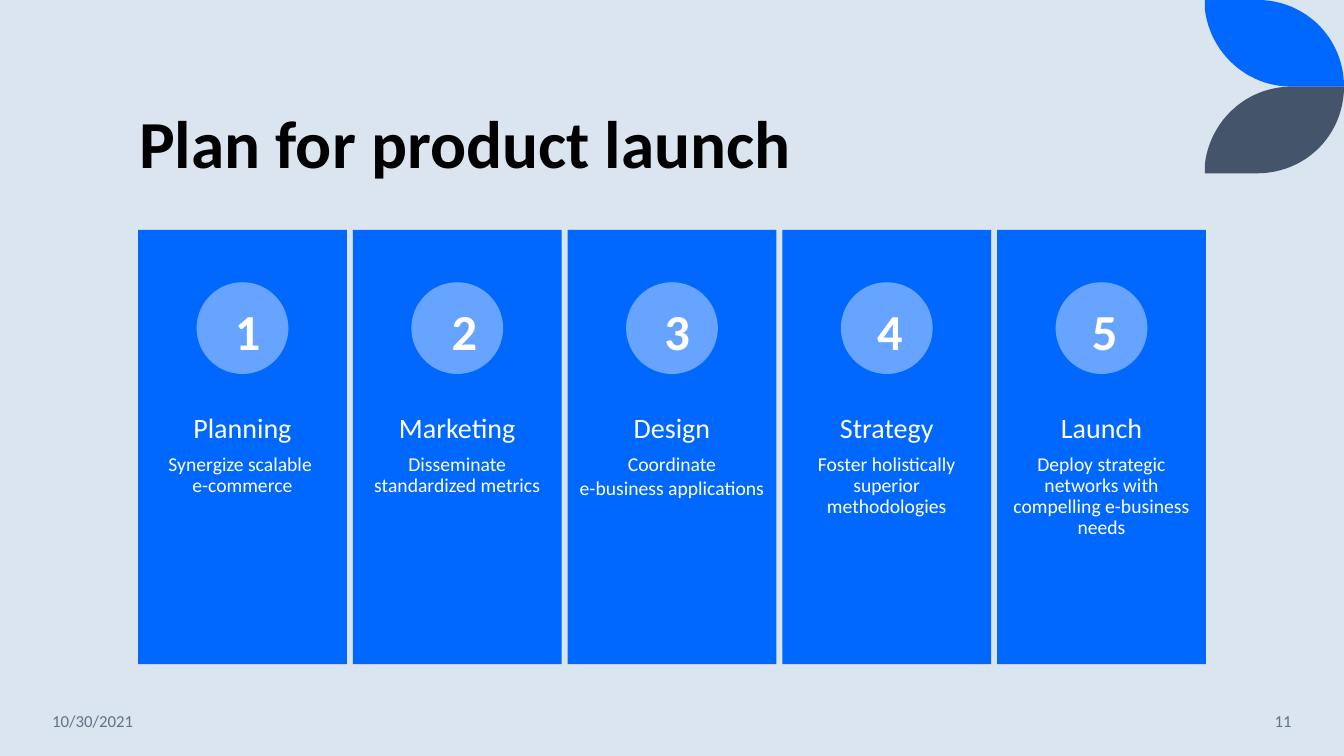
from dataclasses import dataclass

from pptx import Presentation
from pptx.dml.color import RGBColor
from pptx.enum.shapes import MSO_SHAPE
from pptx.enum.text import MSO_ANCHOR, MSO_AUTO_SIZE, PP_ALIGN
from pptx.shapes.autoshape import Shape
from pptx.slide import Slide
from pptx.text.text import TextFrame, _Paragraph
from pptx.util import Inches, Pt

BACKGROUND = RGBColor(0xDA, 0xE5, 0xEF)
BLUE = RGBColor(0x00, 0x68, 0xFF)
LIGHT_BLUE = RGBColor(0x66, 0xA4, 0xFF)
SLATE = RGBColor(0x44, 0x54, 0x6A)
GREY = RGBColor(0x63, 0x71, 0x83)
WHITE = RGBColor(0xFF, 0xFF, 0xFF)
BLACK = RGBColor(0x00, 0x00, 0x00)
FONT = "Calibri"

CARD_LEFT, CARD_TOP, CARD_WIDTH, CARD_HEIGHT = 1.37, 2.28, 2.07, 4.31
CARD_PITCH = 2.13
CIRCLE_SIZE = 0.91
LEAF_HEIGHT = 0.86
CURVE_STEPS = 24

Point = tuple[float, float]


@dataclass(frozen=True)
class Step:
    heading: str
    details: tuple[str, ...]
    number_left: float


@dataclass(frozen=True)
class FooterItem:
    text: str
    left: float
    width: float
    align: PP_ALIGN


STEPS = (
    Step("Planning", ("Synergize scalable \ve-commerce",), 2.23),
    Step("Marketing", ("Disseminate standardized metrics",), 4.38),
    Step("Design", ("Coordinate", "e-business applications"), 6.49),
    Step("Strategy", ("Foster holistically superior methodologies",), 8.6),
    Step("Launch", ("Deploy strategic networks with compelling e-business needs",), 10.73),
)
FOOTER = (
    FooterItem("10/30/2021", 0.42, 1.86, PP_ALIGN.LEFT),
    FooterItem("11", 11.1, 1.81, PP_ALIGN.RIGHT),
)


def paint(shape: Shape, color: RGBColor) -> None:
    shape.shadow.inherit = False
    shape.fill.solid()
    shape.fill.fore_color.rgb = color
    shape.line.fill.background()


def add_run(paragraph: _Paragraph, text: str, size: float, color: RGBColor, bold: bool = False) -> None:
    for index, line in enumerate(text.split("\v")):
        if index:
            paragraph.add_line_break()
        run = paragraph.add_run()
        run.text = line
        run.font.name = FONT
        run.font.size = Pt(size)
        run.font.bold = bold
        run.font.color.rgb = color


def add_text_frame(slide: Slide, left: float, top: float, width: float, height: float) -> TextFrame:
    box = slide.shapes.add_textbox(Inches(left), Inches(top), Inches(width), Inches(height))
    box.text_frame.word_wrap = True
    return box.text_frame


def bezier(start: Point, control_1: Point, control_2: Point, end: Point) -> list[Point]:
    points = []
    for index in range(1, CURVE_STEPS + 1):
        t = index / CURVE_STEPS
        weights = ((1 - t) ** 3, 3 * t * (1 - t) ** 2, 3 * t**2 * (1 - t), t**3)
        corners = (start, control_1, control_2, end)
        x, y = (sum(w * c[axis] for w, c in zip(weights, corners)) for axis in (0, 1))
        points.append((x, y))
    return points


def add_leaf(slide: Slide, color: RGBColor, mirrored: bool) -> None:
    outline = [(11.95, 0), (12.47, 0)]
    outline += bezier((12.47, 0), (12.95, 0), (13.33, 0.38), (13.33, LEAF_HEIGHT))
    outline.append((12.81, LEAF_HEIGHT))
    outline += bezier((12.81, LEAF_HEIGHT), (12.36, LEAF_HEIGHT), (12, 0.52), (11.95, 0.09))
    if mirrored:
        outline = [(x, 2 * LEAF_HEIGHT - y) for x, y in outline]
    points = [(Inches(x), Inches(y)) for x, y in outline]
    builder = slide.shapes.build_freeform(*points[0])
    builder.add_line_segments(points[1:], close=True)
    paint(builder.convert_to_shape(), color)


def add_title(slide: Slide, text: str) -> None:
    title = slide.shapes.title
    title.left, title.top = Inches(1.28), Inches(0.42)
    title.width, title.height = Inches(10.69), Inches(1.45)
    frame = title.text_frame
    frame.auto_size = MSO_AUTO_SIZE.NONE
    frame.vertical_anchor = MSO_ANCHOR.BOTTOM
    paragraph = frame.paragraphs[0]
    paragraph.alignment = PP_ALIGN.LEFT
    paragraph.line_spacing = 0.9
    add_run(paragraph, text, 48, BLACK, bold=True)


def add_step(slide: Slide, number: int, step: Step) -> None:
    left = CARD_LEFT + (number - 1) * CARD_PITCH
    card = slide.shapes.add_shape(
        MSO_SHAPE.RECTANGLE, Inches(left), Inches(CARD_TOP), Inches(CARD_WIDTH), Inches(CARD_HEIGHT)
    )
    paint(card, BLUE)

    description = add_text_frame(slide, left, 4, CARD_WIDTH, 1.72)
    description.margin_left = description.margin_right = Inches(0.11)
    description.margin_top = description.margin_bottom = Inches(0.11)
    lines = [(step.heading, 20, 7)] + [(detail, 14, 2) for detail in step.details]
    for index, (text, size, space_after) in enumerate(lines):
        paragraph = description.add_paragraph() if index else description.paragraphs[0]
        paragraph.alignment = PP_ALIGN.CENTER
        paragraph.line_spacing = 0.9
        paragraph.space_after = Pt(space_after)
        add_run(paragraph, text, size, WHITE)

    circle_left = left + (CARD_WIDTH - CIRCLE_SIZE) / 2
    circle = slide.shapes.add_shape(
        MSO_SHAPE.OVAL, Inches(circle_left), Inches(2.8), Inches(CIRCLE_SIZE), Inches(CIRCLE_SIZE)
    )
    paint(circle, LIGHT_BLUE)

    numeral = add_text_frame(slide, step.number_left, 2.93, 0.38, 0.71).paragraphs[0]
    numeral.alignment = PP_ALIGN.CENTER
    add_run(numeral, str(number), 36, WHITE, bold=True)


def add_footer_item(slide: Slide, item: FooterItem) -> None:
    frame = add_text_frame(slide, item.left, 6.95, item.width, 0.4)
    frame.vertical_anchor = MSO_ANCHOR.MIDDLE
    frame.paragraphs[0].alignment = item.align
    add_run(frame.paragraphs[0], item.text, 12, GREY)


def main() -> None:
    presentation = Presentation()
    presentation.slide_width, presentation.slide_height = Inches(13.33), Inches(7.5)
    slide = presentation.slides.add_slide(presentation.slide_layouts[5])
    slide.background.fill.solid()
    slide.background.fill.fore_color.rgb = BACKGROUND

    add_leaf(slide, BLUE, mirrored=False)
    add_leaf(slide, SLATE, mirrored=True)
    add_title(slide, "Plan for product launch")
    for number, step in enumerate(STEPS, start=1):
        add_step(slide, number, step)
    for item in FOOTER:
        add_footer_item(slide, item)
    presentation.save("out.pptx")


if __name__ == "__main__":
    main()
